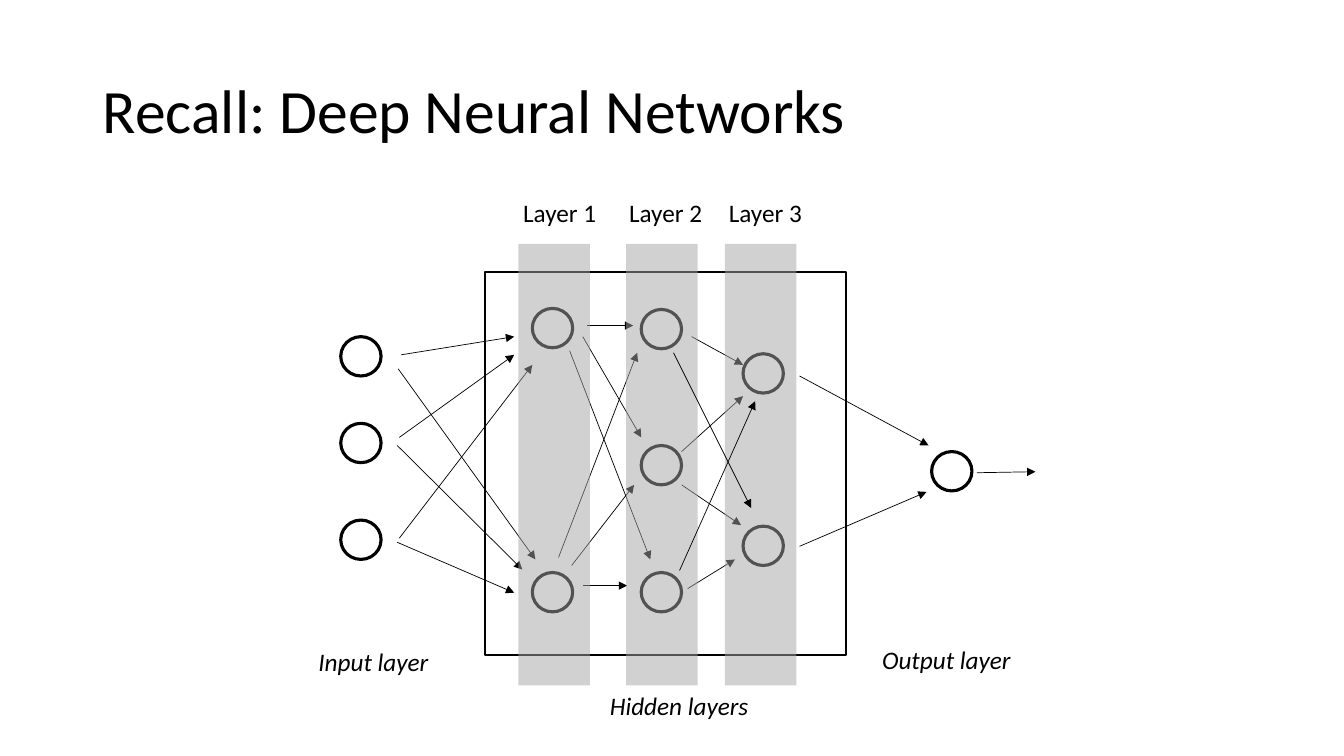
from lxml.etree import SubElement
from pptx import Presentation
from pptx.dml.color import RGBColor
from pptx.enum.shapes import MSO_CONNECTOR, MSO_SHAPE
from pptx.enum.text import MSO_ANCHOR, MSO_AUTO_SIZE, PP_ALIGN
from pptx.oxml.ns import qn
from pptx.util import Emu, Pt

BLACK = RGBColor(0x00, 0x00, 0x00)
WHITE = RGBColor(0xFF, 0xFF, 0xFF)
GRAY = RGBColor(0xA5, 0xA5, 0xA5)
EMU_PER_PX = 9144  # 100 px to the inch


def px(length):
    return Emu(length * EMU_PER_PX)


class NetworkSlide:
    font = "Calibri"
    node_size = (40, 39)

    def __init__(self, presentation):
        self.slide = presentation.slides.add_slide(presentation.slide_layouts[5])
        self.shapes = self.slide.shapes

    def add_text(self, paragraph, text, size, italic=False):
        run = paragraph.add_run()
        run.text = text
        run.font.name = self.font
        run.font.size = Pt(size)
        run.font.italic = italic
        run.font.color.rgb = BLACK

    def title(self, text, left, top, width, height):
        title = self.shapes.title
        title.left, title.top = px(left), px(top)
        title.width, title.height = px(width), px(height)
        frame = title.text_frame
        frame.auto_size = MSO_AUTO_SIZE.NONE
        frame.vertical_anchor = MSO_ANCHOR.MIDDLE
        paragraph = frame.paragraphs[0]
        paragraph.alignment = PP_ALIGN.LEFT
        paragraph.line_spacing = 0.9
        self.add_text(paragraph, text, 44)

    def label(self, text, left, top, width, italic=False):
        box = self.shapes.add_textbox(px(left), px(top), px(width), px(40))
        frame = box.text_frame
        frame.word_wrap = True
        frame.auto_size = MSO_AUTO_SIZE.SHAPE_TO_FIT_TEXT
        self.add_text(frame.paragraphs[0], text, 18, italic)

    def shape(self, kind, left, top, width, height, fill=None, line_width=None):
        shape = self.shapes.add_shape(kind, px(left), px(top), px(width), px(height))
        shape.shadow.inherit = False
        if fill is None:
            shape.fill.background()
        else:
            shape.fill.solid()
            shape.fill.fore_color.rgb = fill
        if line_width is None:
            shape.line.fill.background()
        else:
            shape.line.color.rgb = BLACK
            shape.line.width = Pt(line_width)
        return shape

    def node(self, left, top):
        self.shape(MSO_SHAPE.OVAL, left, top, *self.node_size, WHITE, 2.25)

    def band(self, left, top, width, height):
        band = self.shape(MSO_SHAPE.RECTANGLE, left, top, width, height, GRAY)
        color = band._element.spPr.find(qn("a:solidFill"))[0]
        SubElement(color, qn("a:alpha")).set("val", "50000")

    def arrow(self, *ends):
        connector = self.shapes.add_connector(MSO_CONNECTOR.STRAIGHT, *map(px, ends))
        connector.line.color.rgb = BLACK
        connector.line.width = Pt(0.5)
        properties = connector._element.spPr
        line = properties.find(qn("a:ln"))
        SubElement(line, qn("a:tailEnd")).set("type", "triangle")
        SubElement(properties, qn("a:effectLst"))


# Left edge of each column of nodes, with the top of every node
NODE_COLUMNS = [
    (338, [334, 420, 516]),
    (528, [306, 568]),
    (636, [307, 442, 568]),
    (737, [351, 522]),
    (924, [448]),
]
# Arrows as start x, start y, end x, end y
INPUT_ARROWS = [
    (398, 352, 510, 334), (396, 434, 510, 352), (396, 534, 528, 362),
    (395, 366, 531, 555), (394, 442, 518, 565), (394, 538, 510, 588),
]
HIDDEN_ARROWS = [
    (582, 323, 628, 323), (578, 334, 636, 434), (565, 348, 645, 555),
    (554, 553, 632, 350), (567, 561, 629, 481), (578, 581, 622, 581),
    (686, 334, 737, 362), (676, 448, 737, 393), (676, 481, 735, 521),
    (682, 584, 729, 555),
]
OUTPUT_ARROWS = [(793, 373, 921, 442), (793, 542, 919, 488)]
FRONT_ARROWS = [(674, 566, 749, 398), (668, 350, 745, 504), (969, 469, 1027, 468)]
# Left edges of each layer's band and label
LAYERS = [(514, 509), (621, 614), (719, 713)]
CAPTIONS = [
    ("Input layer", 306, 636, 141),
    ("Hidden layers", 595, 680, 162),
    ("Output layer", 865, 634, 162),
]


def main():
    presentation = Presentation()
    presentation.slide_width, presentation.slide_height = px(1333), px(750)
    network = NetworkSlide(presentation)
    network.title("Recall: Deep Neural Networks", 92, 40, 1150, 145)

    # Nodes and the frame around the hidden layers
    for left, tops in NODE_COLUMNS:
        for top in tops:
            network.node(left, top)
    network.shape(MSO_SHAPE.RECTANGLE, 481, 270, 358, 380, line_width=1)

    # Arrows behind the bands
    for ends in INPUT_ARROWS + HIDDEN_ARROWS + OUTPUT_ARROWS:
        network.arrow(*ends)

    # Translucent layer bands and their labels
    for number, (band_left, label_left) in enumerate(LAYERS, 1):
        network.band(band_left, 242, 71, 438)
        network.label(f"Layer {number}", label_left, 191, 105)

    # Captions and arrows in front of the bands
    for caption in CAPTIONS:
        network.label(*caption, italic=True)
    for ends in FRONT_ARROWS:
        network.arrow(*ends)

    presentation.save("out.pptx")


if __name__ == "__main__":
    main()
